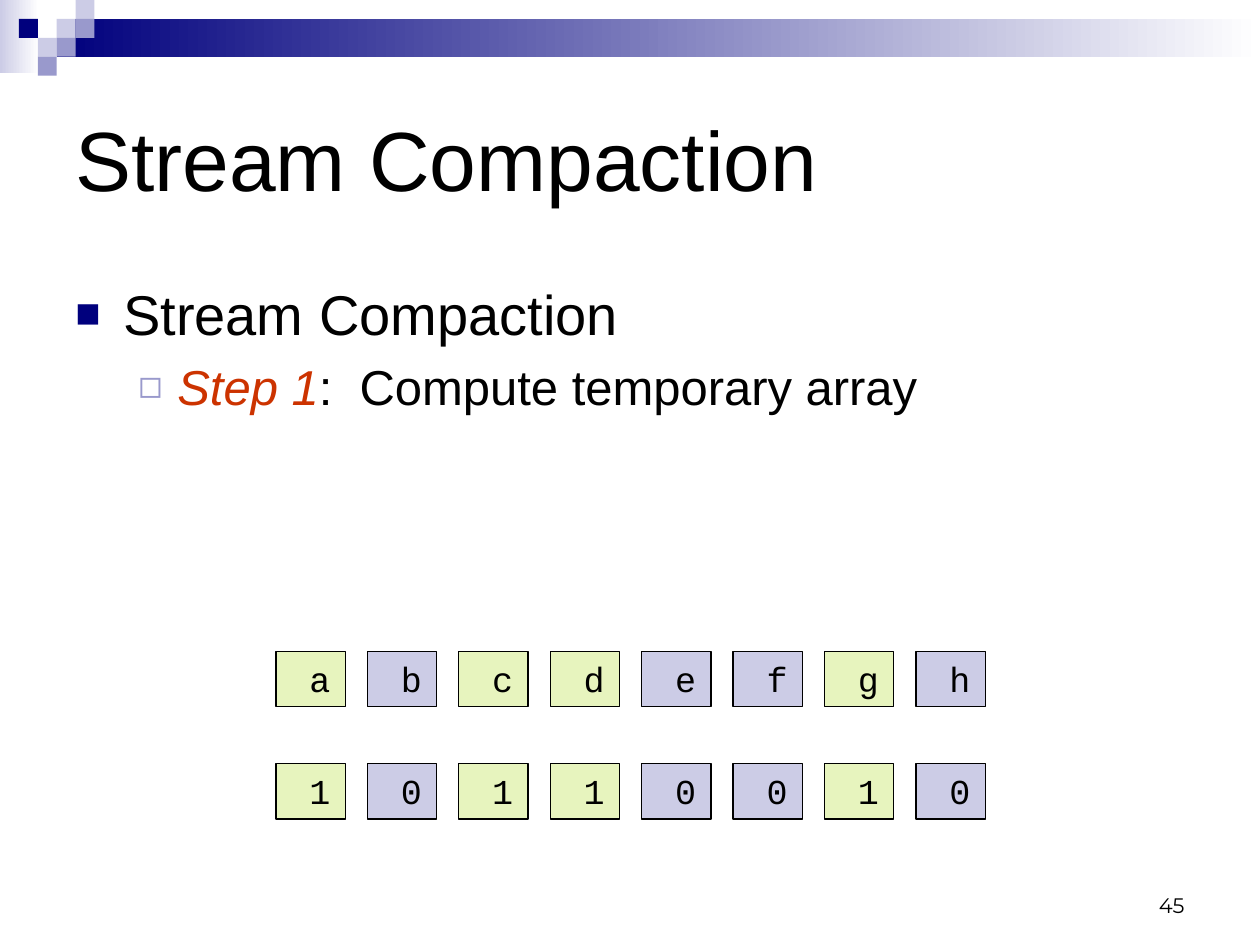
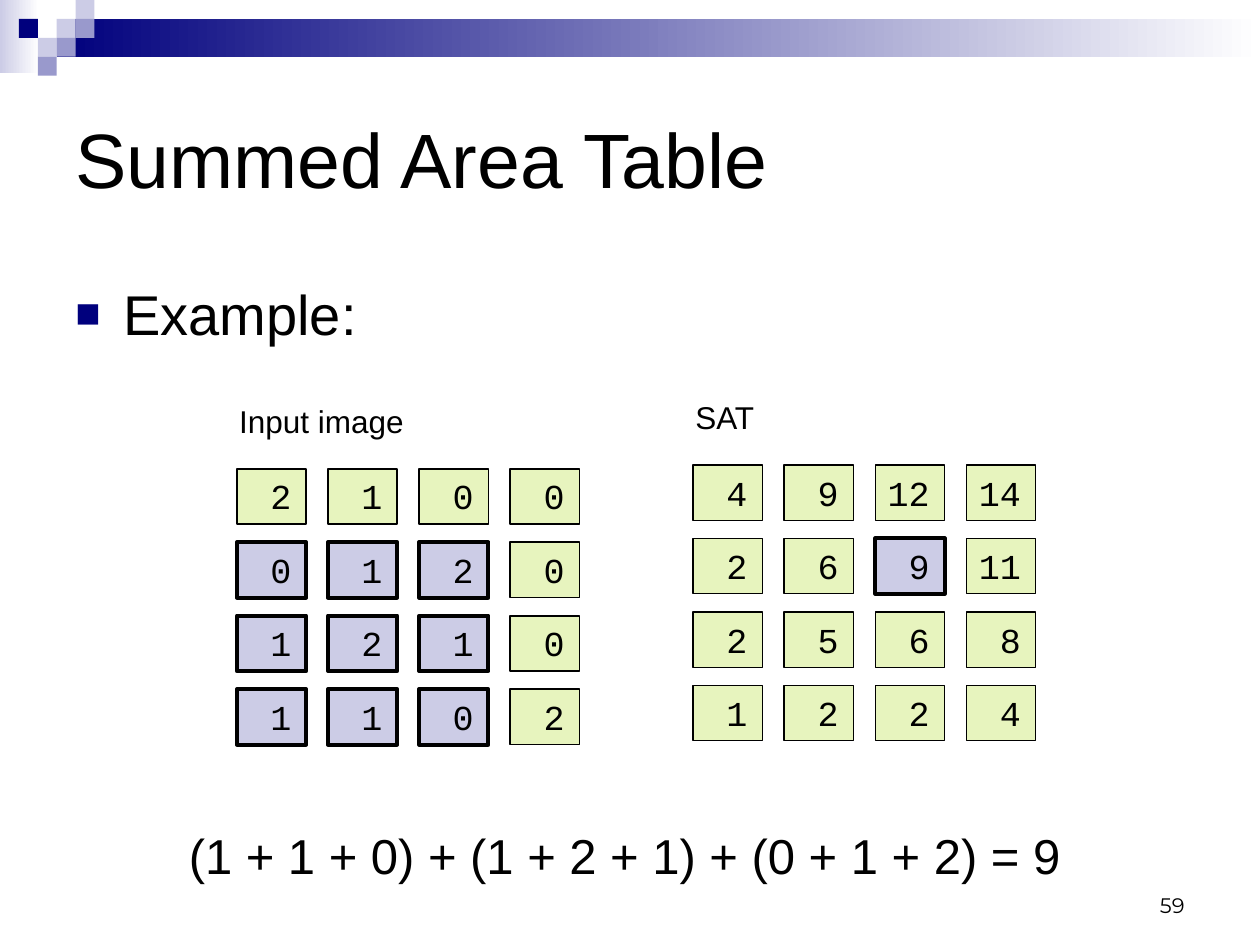
from lxml import etree
from pptx import Presentation
from pptx.dml.color import RGBColor
from pptx.enum.shapes import MSO_SHAPE as SHAPE
from pptx.enum.text import MSO_ANCHOR as ANCHOR, MSO_AUTO_SIZE as AUTOSIZE, PP_ALIGN as ALIGN
from pptx.oxml.ns import qn
from pptx.util import Inches, Pt

NAVY = RGBColor(0x00, 0x00, 0x7D)
PERIWINKLE = RGBColor(0x99, 0x99, 0xCC)
LAVENDER = RGBColor(0xCC, 0xCC, 0xE6)
LIME = RGBColor(0xE7, 0xF4, 0xBE)
RED = RGBColor(0xCC, 0x33, 0x00)
BLACK = RGBColor(0, 0, 0)
WHITE = RGBColor(255, 255, 255)
SANS, MONO, NUMBER_FONT = "Arial", "Courier New", "Montserrat"
WIDTH, HEIGHT = 10, 7.5
MARGIN = WIDTH / 20
THIN, MEDIUM, THICK = 0.75, 1, 2.25

# Header: fading bands, then a checkered corner as (column, row, colour)
TILE = 0.15
BANDS = [
    ((0, 0, 0.31, 0.58), LAVENDER),
    ((3 * TILE, TILE, WIDTH - 3 * TILE, 2 * TILE), NAVY),
]
TILES = [
    (3, 1, LAVENDER), (4, 0, LAVENDER), (4, 1, PERIWINKLE), (2, 2, LAVENDER),
    (1, 1, NAVY), (3, 2, PERIWINKLE), (2, 3, PERIWINKLE),
]

# Bullet levels: indent, hanging, mark, mark colour, mark size %, text size
LEVELS = [
    (0.38, 0.38, "\u25a0", NAVY, 75, 32),
    (0.81, 0.31, "\u25fb", PERIWINKLE, 80, 28),
]

# Slide content: bullets are (level, runs), a run is (text, colour, italic);
# a grid's span is the distance from its first cell to its last one
SLIDES = [
    dict(
        title="Stream Compaction", title_size=48, number="45",
        bullets=[
            (0, [("Stream Compaction", BLACK, False)]),
            (1, [("Step 1", RED, True),
                 (":  Compute temporary array", BLACK, False)]),
        ],
        body_size=(9.33, 4.25),
        grids=[dict(
            rows=["a b c d e f g h".split(), "1 0 1 1 0 0 1 0".split()],
            marked={(row, col) for row in range(2) for col in (1, 4, 5, 7)},
            start=(2.19, 5.17), span=(5.08, 0.89),
            outline=THIN, marked_outline=THIN,
        )],
        captions=[],
    ),
    dict(
        title="Summed Area Table", title_size=44, number="59",
        bullets=[(0, [("Example:", BLACK, False)])],
        body_size=(2.64, 0.56),
        grids=[
            dict(
                rows=[[2, 1, 0, 0], [0, 1, 2, 0], [1, 2, 1, 0], [1, 1, 0, 2]],
                marked={(row, col) for row in (1, 2, 3) for col in range(3)},
                start=(1.88, 3.72), span=(2.17, 1.75),
                outline=MEDIUM, marked_outline=THICK,
            ),
            dict(
                rows=[[4, 9, 12, 14], [2, 6, 9, 11], [2, 5, 6, 8], [1, 2, 2, 4]],
                marked={(1, 2)},
                start=(5.5, 3.69), span=(2.17, 1.75),
                outline=THIN, marked_outline=THICK,
            ),
        ],
        captions=[
            ("Input image", 18, (1.8, 3.14, 1.52, 0.4)),
            ("SAT", 18, (5.42, 3.11, 0.67, 0.4)),
            ("(1 + 1 + 0) + (1 + 2 + 1) + (0 + 1 + 2) = 9", 28, (1.4, 6.5, 7.2, 0.57)),
        ],
    ),
]


def add_run(paragraph, text, size, font=SANS, color=BLACK, italic=False):
    run = paragraph.add_run()
    run.text = text
    run.font.size = Pt(size)
    run.font.name = font
    run.font.color.rgb = color
    run.font.italic = italic


def add_rect(slide, box):
    rect = slide.shapes.add_shape(SHAPE.RECTANGLE, *map(Inches, box))
    rect.shadow.inherit = False
    rect.line.fill.background()
    return rect


def add_text_frame(slide, box, wrap=True, anchor=ANCHOR.TOP):
    frame = slide.shapes.add_textbox(*map(Inches, box)).text_frame
    frame.word_wrap = wrap
    frame.vertical_anchor = anchor
    frame.auto_size = AUTOSIZE.NONE if wrap else AUTOSIZE.SHAPE_TO_FIT_TEXT
    return frame


def add_header(slide):
    for box, color in BANDS:
        fill = add_rect(slide, box).fill
        fill.gradient()
        fill.gradient_angle = 0
        for stop, stop_color in zip(fill.gradient_stops, (color, WHITE)):
            stop.color.rgb = stop_color
    for col, row, color in TILES:
        fill = add_rect(slide, (col * TILE, row * TILE, TILE, TILE)).fill
        fill.solid()
        fill.fore_color.rgb = color


def set_bullet(paragraph, level):
    indent, hanging, mark, color, percent, _ = LEVELS[level]
    paragraph.level = level
    props = paragraph._p.get_or_add_pPr()
    props.set("marL", str(Inches(indent)))
    props.set("indent", str(-Inches(hanging)))
    before = etree.SubElement(props, qn("a:spcBef"))
    etree.SubElement(before, qn("a:spcPct"), val="20000")
    mark_color = etree.SubElement(props, qn("a:buClr"))
    etree.SubElement(mark_color, qn("a:srgbClr"), val=str(color))
    etree.SubElement(props, qn("a:buSzPct"), val=str(percent * 1000))
    etree.SubElement(props, qn("a:buFont"), typeface=SANS)
    etree.SubElement(props, qn("a:buChar"), char=mark)


def add_bullets(slide, bullets, size):
    frame = add_text_frame(slide, (MARGIN, 2.17, *size))
    for index, (level, runs) in enumerate(bullets):
        paragraph = frame.add_paragraph() if index else frame.paragraphs[0]
        set_bullet(paragraph, level)
        for text, color, italic in runs:
            add_run(paragraph, text, LEVELS[level][-1], color=color, italic=italic)


def add_grid(slide, rows, marked, start, span, outline, marked_outline):
    step_x = span[0] / (len(rows[0]) - 1)
    step_y = span[1] / (len(rows) - 1)
    for row, values in enumerate(rows):
        for col, value in enumerate(values):
            is_marked = (row, col) in marked
            cell = add_rect(slide, (start[0] + col * step_x,
                                    start[1] + row * step_y, 0.55, 0.44))
            cell.fill.solid()
            cell.fill.fore_color.rgb = LAVENDER if is_marked else LIME
            cell.line.color.rgb = BLACK
            cell.line.width = Pt(marked_outline if is_marked else outline)
            frame = cell.text_frame
            frame.word_wrap = False
            frame.auto_size = AUTOSIZE.SHAPE_TO_FIT_TEXT
            frame.vertical_anchor = ANCHOR.TOP
            frame.paragraphs[0].alignment = ALIGN.LEFT
            # Values line up in a field two characters wide
            add_run(frame.paragraphs[0], f"{value:>2}", 20, MONO)


deck = Presentation()
deck.slide_width, deck.slide_height = Inches(WIDTH), Inches(HEIGHT)

for content in SLIDES:
    slide = deck.slides.add_slide(deck.slide_layouts[6])
    add_header(slide)

    # Title
    title = add_text_frame(slide, (MARGIN, 0.5, WIDTH - 2 * MARGIN, 1.5), anchor=ANCHOR.MIDDLE)
    add_run(title.paragraphs[0], content["title"], content["title_size"])

    # Bullets, number grids and captions
    add_bullets(slide, content["bullets"], content["body_size"])
    for grid in content["grids"]:
        add_grid(slide, **grid)
    for text, size, box in content["captions"]:
        add_run(add_text_frame(slide, box, wrap=False).paragraphs[0], text, size)

    # Page number
    footer = add_text_frame(slide, (7.17, 6.83, 2.33, 0.5), anchor=ANCHOR.BOTTOM)
    footer.paragraphs[0].alignment = ALIGN.RIGHT
    add_run(footer.paragraphs[0], content["number"], 12, NUMBER_FONT)

deck.save("out.pptx")
